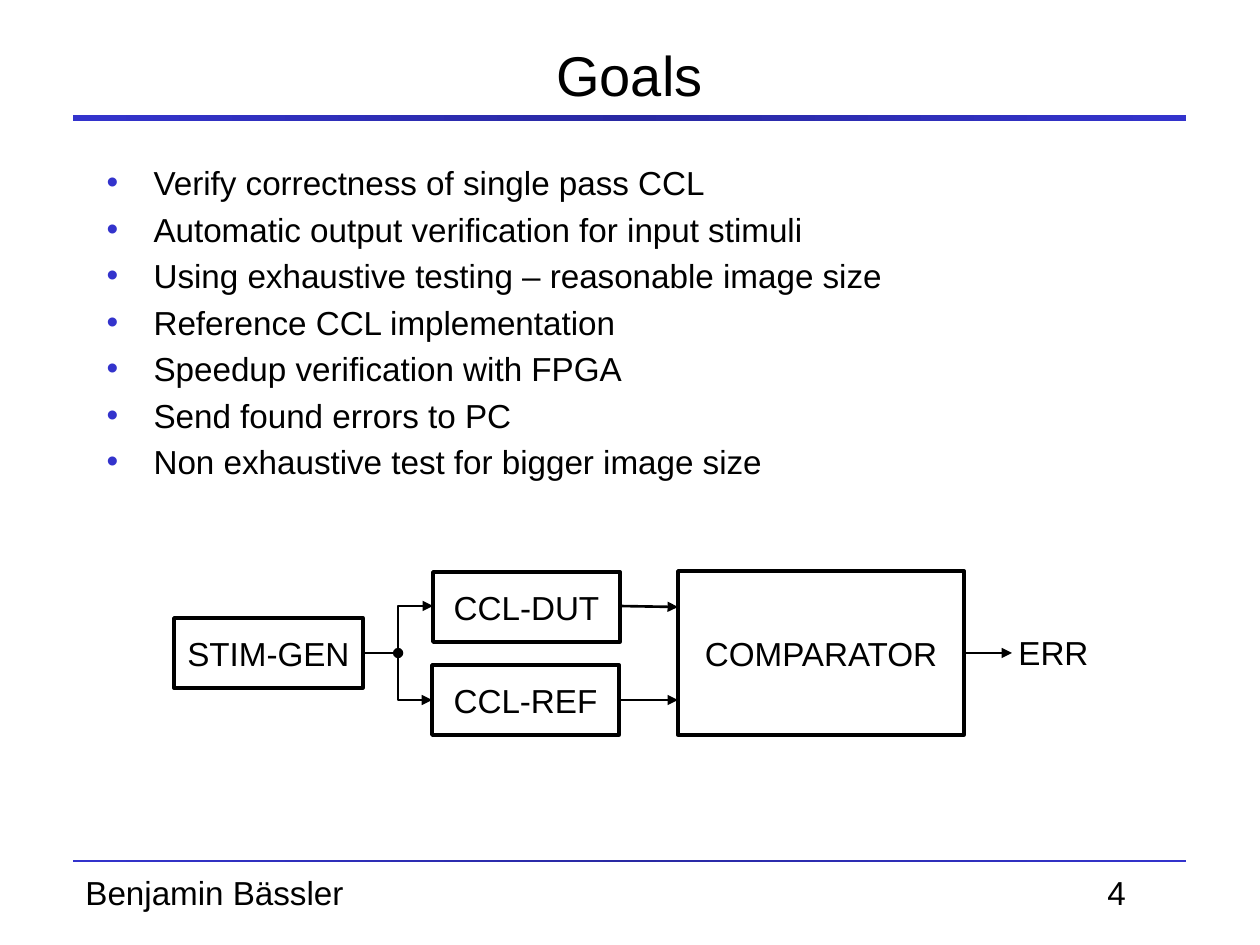
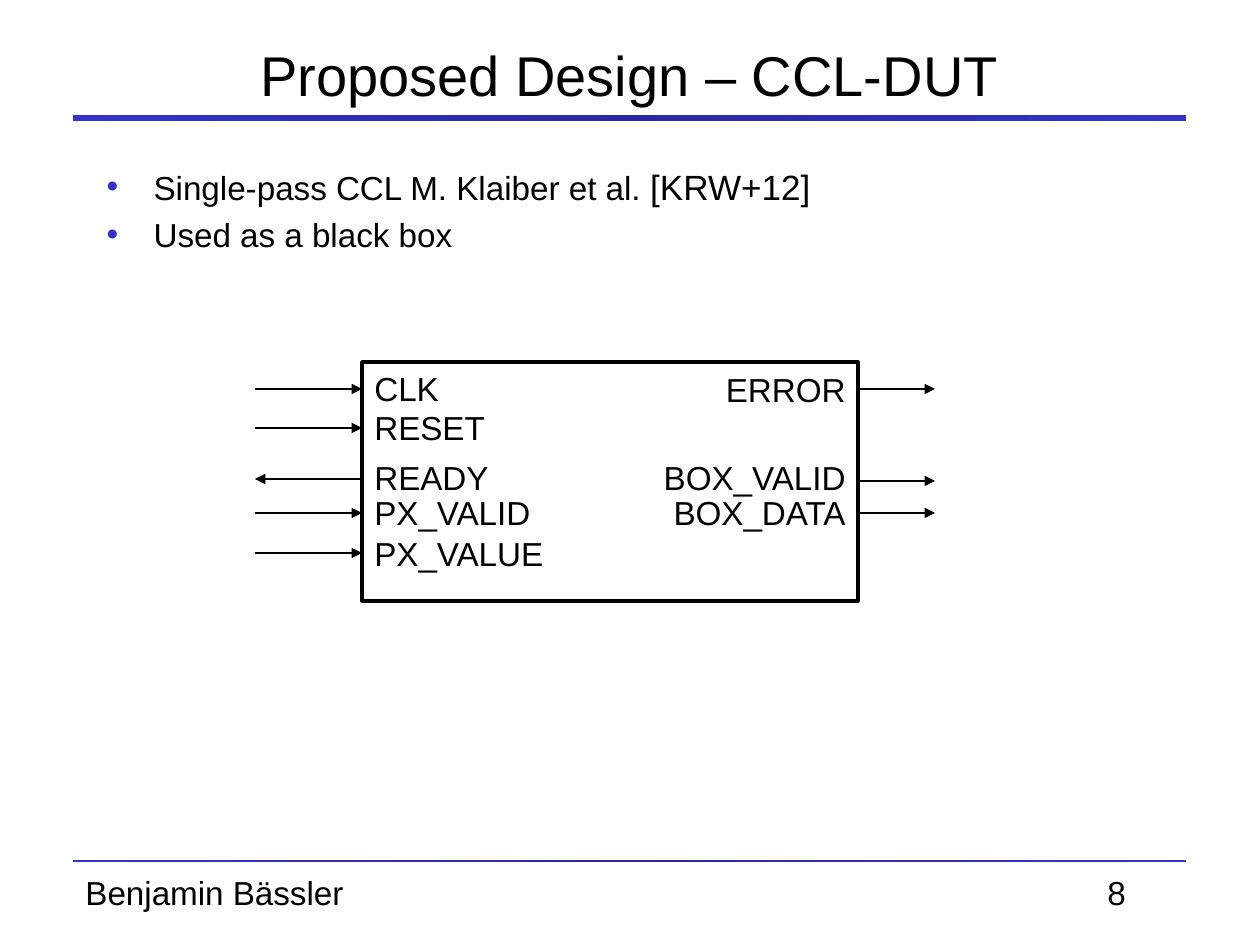
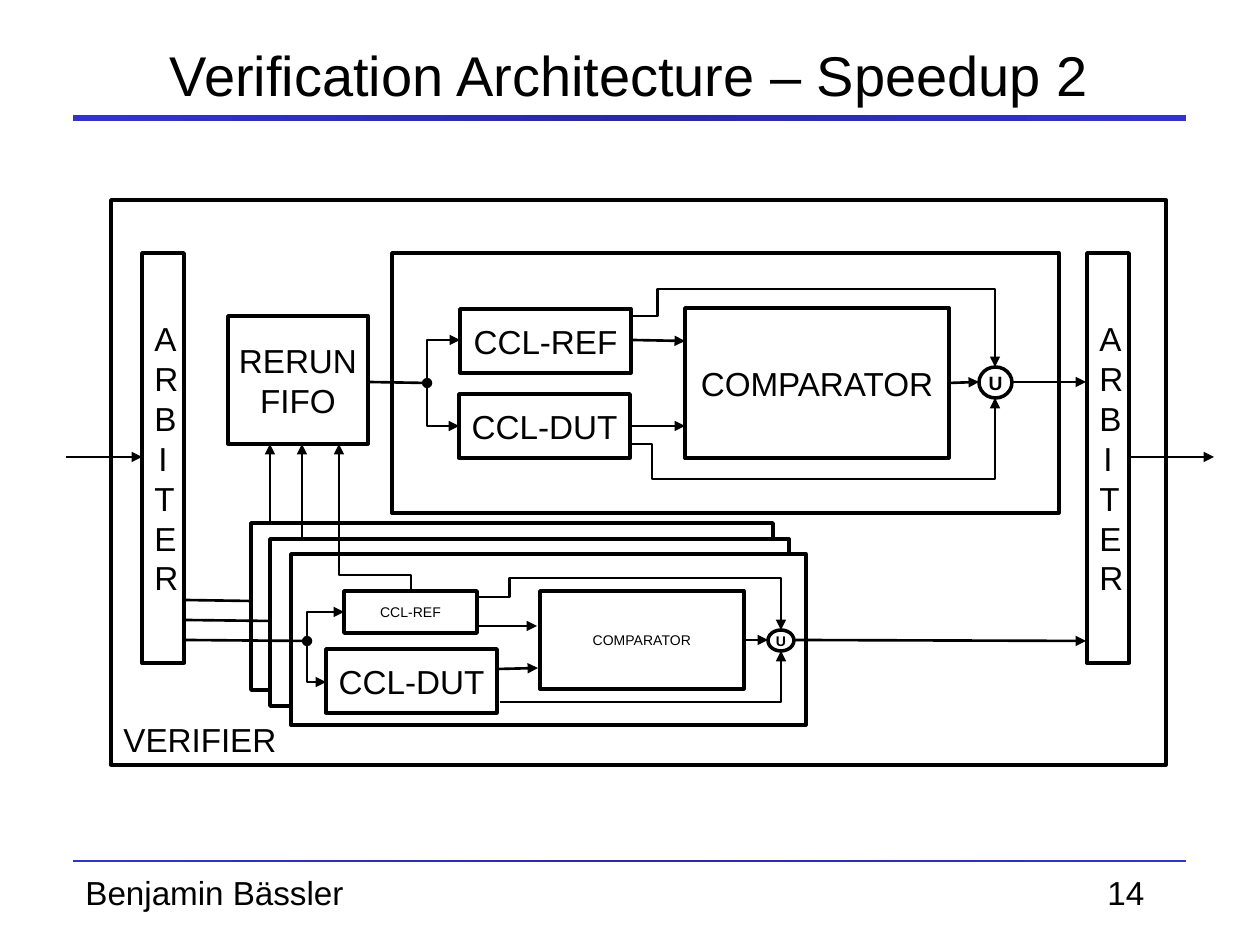
from dataclasses import dataclass

from lxml import etree
from pptx import Presentation
from pptx import util as u
from pptx.dml.color import RGBColor
from pptx.enum import shapes, text
from pptx.oxml.ns import qn

SCALE = 914400 / 126  # EMU per pixel


def px(n):
    return u.Emu(round(n * SCALE))


@dataclass(frozen=True)
class Theme:
    font: str = "Arial"
    ink: str = "000000"
    paper: str = "FFFFFF"
    accent: str = "3333CC"
    accent_dark: str = "2929A3"
    title: int = 32
    body: int = 19
    cite: int = 20
    mark: int = 11
    small: int = 8
    border: float = 2
    wire: float = 1.5


T = Theme()
LEFT, CENTER, RIGHT = text.PP_ALIGN.LEFT, text.PP_ALIGN.CENTER, text.PP_ALIGN.RIGHT
TOP, MIDDLE, BOTTOM = text.MSO_ANCHOR.TOP, text.MSO_ANCHOR.MIDDLE, text.MSO_ANCHOR.BOTTOM
RECT, OVAL = shapes.MSO_SHAPE.RECTANGLE, shapes.MSO_SHAPE.OVAL


def rgb(value):
    return RGBColor.from_string(value)


def write(tf, paras, size=T.body, color=T.ink, bold=False, align=LEFT,
          anchor=TOP, inset=None):
    """Fill a text frame; a paragraph is a string or a list of (text, size)."""
    tf.word_wrap = True
    tf.auto_size = text.MSO_AUTO_SIZE.NONE
    tf.vertical_anchor = anchor
    if inset is not None:
        tf.margin_left = tf.margin_right = tf.margin_top = tf.margin_bottom = px(inset)
    for i, para in enumerate([paras] if isinstance(paras, str) else paras):
        p = tf.paragraphs[0] if i == 0 else tf.add_paragraph()
        p.alignment = align
        for part, pt in [(para, size)] if isinstance(para, str) else para:
            r = p.add_run()
            r.text = part
            r.font.name, r.font.size, r.font.bold = T.font, u.Pt(pt), bold
            r.font.color.rgb = rgb(color)


class Deck:
    def __init__(self):
        self.prs = Presentation()
        self.prs.slide_width, self.prs.slide_height = px(1260), px(945)
        self.s = None

    # Slide frame
    def slide(self, title, number, body=False):
        first = self.s is None
        self.s = self.prs.slides.add_slide(self.prs.slide_layouts[1 if body else 5])
        if first:
            self.master_parts()
        self.place(self.s.shapes.title, 94, 16, 1071, 116)
        write(self.s.shapes.title.text_frame, title, size=T.title, align=CENTER, anchor=MIDDLE)
        self.label(str(number), 1095, 866, 92)

    def master_parts(self):
        """Rules and author are made once and moved to the master."""
        parts = [self.rule(115, 6), self.rule(860, 2),
                 self.label("Benjamin Bässler", 73, 866, 349)]
        for sp in parts:
            self.prs.slide_master.shapes._spTree.append(sp._element)

    def rule(self, y, h):
        sp = self.s.shapes.add_shape(RECT, px(73), px(y), px(1113), px(h))
        sp.shadow.inherit = False
        sp.line.fill.background()
        sp.fill.gradient()
        sp.fill.gradient_angle = 0
        stops = sp._element.spPr.find(qn("a:gradFill")).find(qn("a:gsLst"))
        for gs in list(stops):
            stops.remove(gs)
        for pos, color in ((0, T.accent), (50000, T.accent_dark), (100000, T.accent)):
            gs = etree.SubElement(stops, qn("a:gs"), pos=str(pos))
            etree.SubElement(gs, qn("a:srgbClr"), val=color)
        return sp

    # Text
    def place(self, sp, x, y, w, h):
        sp.left, sp.top, sp.width, sp.height = px(x), px(y), px(w), px(h)

    def label(self, words, x, y, w, **fmt):
        sp = self.s.shapes.add_textbox(px(x), px(y), px(w), px(53))
        write(sp.text_frame, words, **fmt)
        return sp

    def bullets(self, items, y, h):
        sp = self.s.placeholders[1]
        self.place(sp, 94, y, 1071, h)
        write(sp.text_frame, items)
        for p in sp.text_frame.paragraphs:
            pPr = p._p.get_or_add_pPr()
            pPr.set("marL", str(px(47)))
            pPr.set("indent", str(-px(47)))
            before = etree.SubElement(pPr, qn("a:spcBef"))
            etree.SubElement(before, qn("a:spcPct"), val="20000")
            color = etree.SubElement(pPr, qn("a:buClr"))
            etree.SubElement(color, qn("a:srgbClr"), val=T.accent)
            etree.SubElement(pPr, qn("a:buFont"), typeface=T.font)
            etree.SubElement(pPr, qn("a:buChar"), char="•")

    # Diagram parts
    def box(self, x, y, w, h, words=None, kind=RECT, filled=True, **fmt):
        sp = self.s.shapes.add_shape(kind, px(x), px(y), px(w), px(h))
        sp.shadow.inherit = False
        if filled:
            sp.fill.solid()
            sp.fill.fore_color.rgb = rgb(T.paper)
        else:
            sp.fill.background()
        sp.line.color.rgb = rgb(T.ink)
        sp.line.width = u.Pt(T.border)
        if words:
            write(sp.text_frame, words, **{"align": CENTER, "anchor": MIDDLE, **fmt})

    def wire(self, x1, y1, x2, y2, route="line", head=None, tail="triangle"):
        """Route is line, hv, vh or hvh: the order of level and upright legs."""
        kind = shapes.MSO_CONNECTOR.STRAIGHT if route == "line" else shapes.MSO_CONNECTOR.ELBOW
        c = self.s.shapes.add_connector(kind, px(x1), px(y1), px(x2), px(y2))
        spPr = c._element.spPr
        if route in ("hv", "vh"):
            spPr.find(qn("a:prstGeom")).set("prst", "bentConnector2")
        if route == "vh":  # a quarter turn; these wires all run to the right
            w, h = abs(y2 - y1), x2 - x1
            self.place(c, (x1 + x2 - w) / 2, (y1 + y2 - h) / 2, w, h)
            up = y2 < y1
            xfrm = spPr.find(qn("a:xfrm"))
            xfrm.set("rot", "5400000" if up else "16200000")
            xfrm.set("flipH", "1")
            xfrm.set("flipV", "1" if up else "0")
        c.line.color.rgb = rgb(T.ink)
        c.line.width = u.Pt(T.wire)
        ln = spPr.find(qn("a:ln"))
        for tag, end in (("a:headEnd", head), ("a:tailEnd", tail)):
            if end:
                etree.SubElement(ln, qn(tag), type=end)
        etree.SubElement(spPr, qn("a:effectLst"))

    def fork(self, x, y, upper, lower):
        """A dotted junction that feeds two blocks."""
        self.wire(x, y, *upper, route="vh")
        self.wire(x, y, *lower, route="vh", head="oval")


d = Deck()

# Goals
d.slide("Goals", 4, body=True)
d.bullets(["Verify correctness of single pass CCL",
           "Automatic output verification for input stimuli",
           "Using exhaustive testing – reasonable image size",
           "Reference CCL implementation",
           "Speedup verification with FPGA",
           "Send found errors to PC",
           "Non exhaustive test for bigger image size"], 156, 653)
d.box(678, 571, 286, 164, "COMPARATOR")
d.box(433, 572, 187, 70, "CCL-DUT")
d.box(432, 665, 187, 70, "CCL-REF")
d.box(174, 618, 189, 70, "STIM-GEN")
d.wire(363, 653, 398, 653, tail=None)
d.fork(398, 653, (433, 606), (432, 700))
d.wire(619, 606, 678, 607)
d.wire(618, 700, 678, 700)
d.wire(964, 653, 1012, 653)
d.label("ERR", 1006, 626, 110)

# Device under test as a black box
d.slide("Proposed Design – CCL-DUT", 8, body=True)
d.bullets([[("Single-pass CCL M. Klaiber et al. ", T.body), ("[KRW+12]", T.cite)],
           "Used as a black box"], 159, 108)
d.box(362, 362, 496, 239)
for name, label_y, wire_y in (("CLK", 362, 389), ("RESET", 401, 428), ("READY", 451, 479),
                              ("PX_VALID", 486, 513), ("PX_VALUE", 527, 553)):
    d.label(name, 362, label_y, 204)
    ends = (362, 255) if name == "READY" else (255, 362)
    d.wire(ends[0], wire_y, ends[1], wire_y)
for name, label_y, wire_y in (("ERROR", 363, 389), ("BOX_VALID", 451, 481),
                              ("BOX_DATA", 486, 513)):
    d.label(name, 627, label_y, 231, align=RIGHT)
    d.wire(858, wire_y, 935, wire_y)

# Verification architecture
d.slide("Verification Architecture – Speedup 2", 14)
d.box(111, 200, 1055, 565, "VERIFIER", filled=False, align=LEFT, anchor=BOTTOM)

# Rerun lane
d.box(392, 253, 667, 260)
d.box(685, 308, 264, 150, "COMPARATOR")
d.box(460, 309, 171, 64, "CCL-REF", inset=0)
d.box(459, 394, 171, 64, "CCL-DUT", inset=0)
d.wire(368, 382, 427, 383, tail=None)
d.fork(427, 383, (460, 340), (459, 426))
d.wire(631, 340, 685, 341)
d.wire(630, 426, 685, 426)
d.wire(949, 383, 979, 382)
d.box(979, 367, 33, 31, "U", kind=OVAL, size=T.mark, bold=True, inset=0)
d.wire(631, 316, 684, 289, route="hvh", tail=None)
d.wire(684, 289, 995, 367, route="hv")
d.wire(630, 444, 674, 479, route="hvh", tail=None)
d.wire(674, 479, 995, 398, route="hv")
d.wire(1012, 382, 1086, 382)

# Stacked parallel lanes
for lane in ((251, 523, 522, 167), (270, 539, 519, 167), (291, 554, 515, 171)):
    d.box(*lane)
d.box(540, 591, 204, 98, "COMPARATOR", size=T.small)
d.box(344, 591, 133, 42, "CCL-REF", size=T.small)
d.box(326, 649, 171, 64, "CCL-DUT", inset=0)
d.wire(185, 640, 307, 641, tail=None)
d.fork(307, 641, (344, 612), (326, 682))
d.wire(477, 626, 537, 626)
d.wire(497, 669, 538, 668)
d.wire(744, 640, 768, 640)
d.box(768, 630, 26, 21, "U", kind=OVAL, size=T.small, bold=True, inset=0)
d.wire(476, 597, 543, 578, route="hvh", tail=None)
d.wire(540, 578, 781, 630, route="hv")
d.wire(500, 702, 781, 651, route="hv")
d.wire(794, 640, 1086, 641)

# Arbiters with their inputs and outputs
for x in (142, 1087):
    d.box(x, 253, 42, 410, "ARBITER")
d.wire(66, 457, 142, 457)
d.wire(1129, 457, 1214, 457)
d.wire(185, 620, 271, 621, tail=None)
d.wire(185, 600, 251, 601, tail=None)

# Failed stimuli return to the rerun queue
d.box(228, 316, 140, 128, ["RERUN", "FIFO"], inset=0)
for x, y in ((270, 523), (302, 539), (339, 554)):
    d.wire(x, y, x, 444)
d.wire(339, 554, 372, 575, route="vh", tail=None)
d.wire(371, 575, 411, 591, route="hv", tail=None)

d.prs.save("out.pptx")
